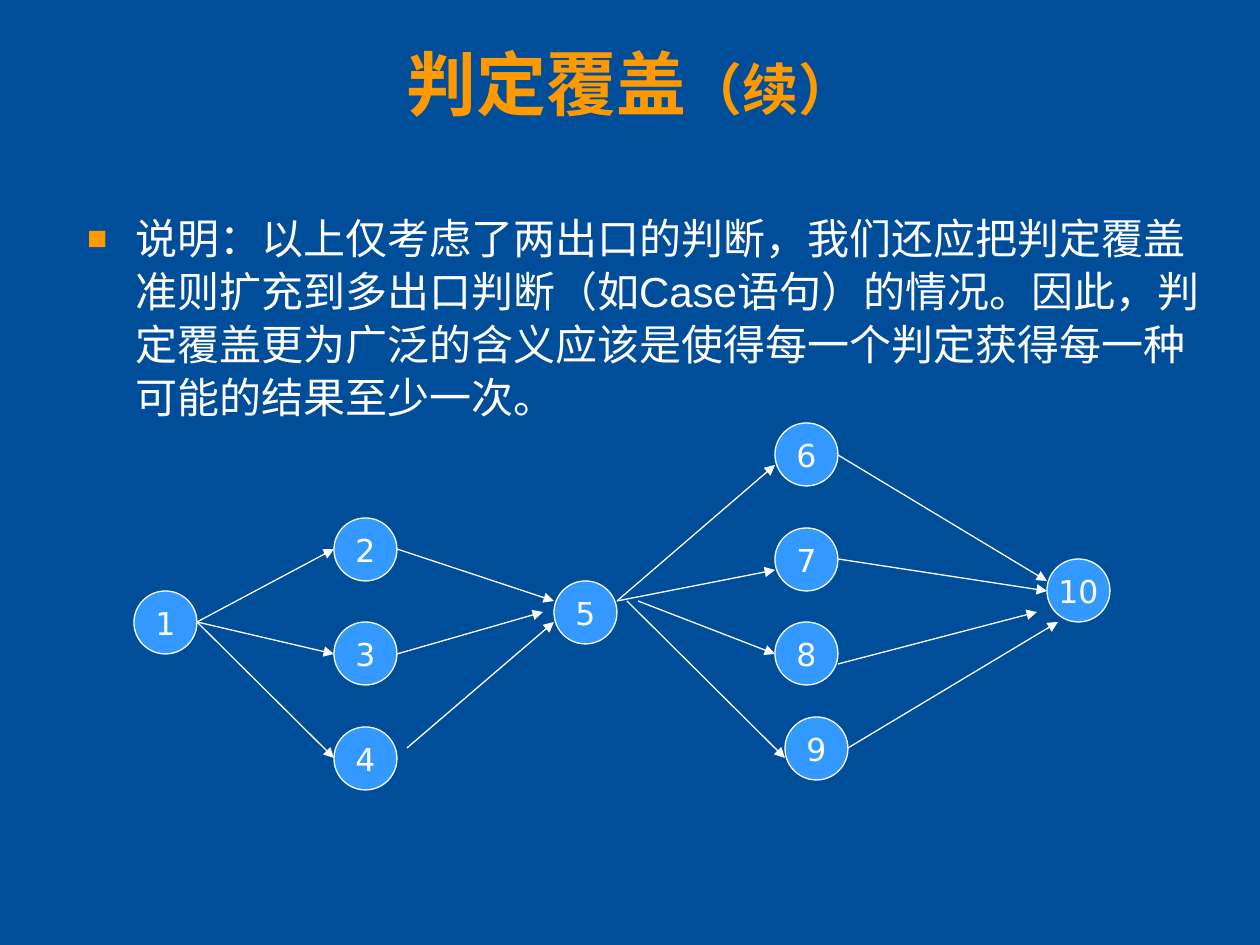
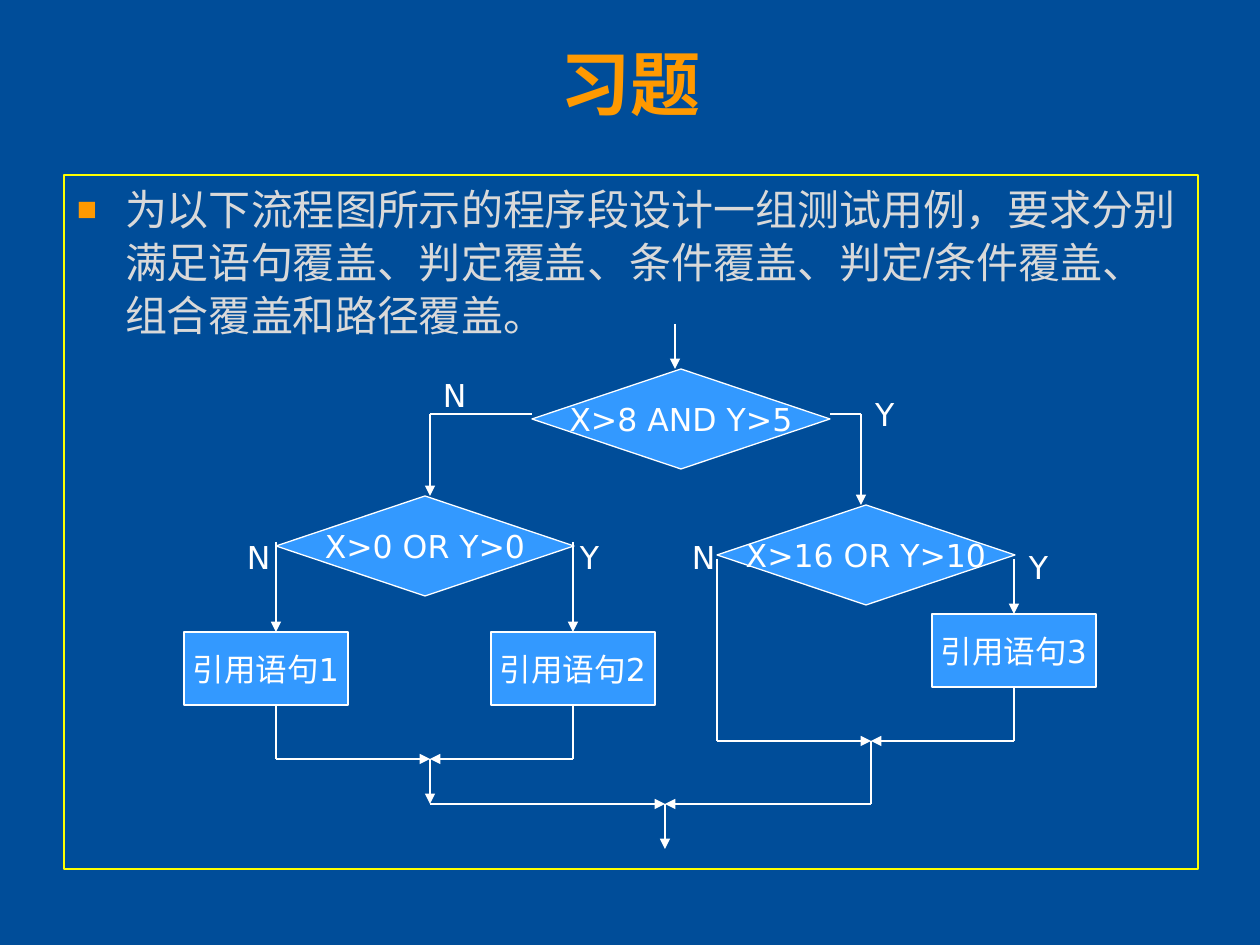
from dataclasses import dataclass, field
from itertools import pairwise

from lxml.etree import SubElement
from pptx import Presentation
from pptx.dml.color import RGBColor
from pptx.enum.shapes import MSO_CONNECTOR as Connector, MSO_SHAPE as Preset
from pptx.enum.text import MSO_ANCHOR as Anchor, MSO_AUTO_SIZE as AutoSize, PP_ALIGN as Align
from pptx.oxml.ns import qn
from pptx.util import Pt

SCALE = 914400 / 126


@dataclass(frozen=True)
class Theme:
    """Colours, fonts and type sizes shared by the slides."""
    background: RGBColor = RGBColor(0x00, 0x4D, 0x99)
    accent: RGBColor = RGBColor(0xFF, 0x99, 0x00)
    node: RGBColor = RGBColor(0x33, 0x99, 0xFF)
    white: RGBColor = RGBColor(0xFF, 0xFF, 0xFF)
    muted: RGBColor = RGBColor(0xD9, 0xD9, 0xD9)
    frame: RGBColor = RGBColor(0xFF, 0xFF, 0x00)
    text_font: str = "Arial"
    diagram_font: str = "DejaVu Sans"
    title_size: int = 40
    suffix_size: int = 32
    body_size: int = 24
    diagram_size: int = 18
    line_width: float = 0.75


THEME = Theme()


def px(length):
    """Turn px into EMU."""
    return round(length * SCALE)


def place(shape, left, top, width, height):
    """Move and size a shape."""
    shape.left, shape.top = px(left), px(top)
    shape.width, shape.height = px(width), px(height)


def set_insets(frame, horizontal, vertical):
    """Set the four insets of a text frame."""
    frame.margin_left = frame.margin_right = px(horizontal)
    frame.margin_top = frame.margin_bottom = px(vertical)


def add_run(paragraph, text, size, color, font_name, bold=False):
    """Add one formatted run."""
    run = paragraph.add_run()
    run.text = text
    run.font.size, run.font.name, run.font.bold = Pt(size), font_name, bold
    run.font.color.rgb = color


def set_outline(line, color):
    """Give a line its colour and the shared width."""
    line.color.rgb = color
    line.width = Pt(THEME.line_width)


def fill_title(slide, *runs):
    """Place the title and add its (text, size) runs."""
    title = slide.shapes.title
    place(title, 32, 42, 1197, 94)
    frame = title.text_frame
    frame.auto_size, frame.vertical_anchor = AutoSize.NONE, Anchor.MIDDLE
    set_insets(frame, 5, 6)
    paragraph = frame.paragraphs[0]
    paragraph.alignment, paragraph.line_spacing = Align.CENTER, 0.85
    paragraph.space_before = Pt(0)
    for text, size in runs:
        add_run(paragraph, text, size, THEME.accent, THEME.text_font, bold=True)


def fill_body(slide, box, text, color):
    """Place the body and add its one bulleted paragraph."""
    body = slide.placeholders[1]
    place(body, *box)
    frame = body.text_frame
    frame.auto_size, frame.vertical_anchor = AutoSize.NONE, Anchor.TOP
    set_insets(frame, 13, 6)
    paragraph = frame.paragraphs[0]
    paragraph.line_spacing, paragraph.space_before = 1.05, Pt(0)
    properties = paragraph._p.get_or_add_pPr()
    properties.set("marL", str(px(48)))
    properties.set("indent", str(px(-48)))
    bullet_color = SubElement(properties, qn("a:buClr"))
    SubElement(bullet_color, qn("a:srgbClr"), val=str(THEME.accent))
    SubElement(properties, qn("a:buSzPct"), val="80000")
    SubElement(properties, qn("a:buFont"), typeface=THEME.text_font)
    SubElement(properties, qn("a:buChar"), char="■")
    add_run(paragraph, text, THEME.body_size, color, THEME.text_font)
    return body


@dataclass
class Diagram:
    """A drawing whose parts are placed relative to its corner."""
    slide: object
    left: int
    top: int
    joints: dict = field(default_factory=dict)

    def add_text(self, shape, text, alignment):
        """Add the diagram's unwrapped text to a shape."""
        frame = shape.text_frame
        frame.word_wrap = False
        set_insets(frame, 13, 6)
        paragraph = frame.paragraphs[0]
        paragraph.alignment = alignment
        add_run(paragraph, text, THEME.diagram_size, THEME.white, THEME.diagram_font)

    def add_node(self, preset, text, x, y, width, height):
        """Draw a filled node with centred text."""
        shape = self.slide.shapes.add_shape(preset, 0, 0, 0, 0)
        place(shape, self.left + x, self.top + y, width, height)
        shape.shadow.inherit = False
        shape.fill.solid()
        shape.fill.fore_color.rgb = THEME.node
        set_outline(shape.line, THEME.white)
        shape.text_frame.vertical_anchor = Anchor.MIDDLE
        self.add_text(shape, text, Align.CENTER)
        if preset == Preset.RECTANGLE:
            self.joints[x + width // 2, y] = shape, 0
            self.joints[x + width // 2, y + height] = shape, 2

    def add_label(self, text, x, y):
        """Place a branch label."""
        box = self.slide.shapes.add_textbox(0, 0, 0, 0)
        place(box, self.left + x, self.top + y, 49 if text == "N" else 43, 50)
        self.add_text(box, text, Align.LEFT)

    def add_line(self, start, end, arrow=True):
        """Draw a line, joined to a rectangle where it meets one."""
        ends = [px(offset + value) for point in (start, end)
                for offset, value in zip((self.left, self.top), point)]
        connector = self.slide.shapes.add_connector(Connector.STRAIGHT, *ends)
        set_outline(connector.line, THEME.white)
        properties = connector._element.spPr
        if arrow:
            SubElement(properties.find(qn("a:ln")), qn("a:tailEnd"), type="triangle")
        SubElement(properties, qn("a:effectLst"))
        if start in self.joints:
            connector.begin_connect(*self.joints[start])
        if end in self.joints:
            connector.end_connect(*self.joints[end])

    def add_route(self, *points):
        """Draw a bent path with an arrowhead on its last part."""
        for start, end in pairwise(points):
            self.add_line(start, end, arrow=end == points[-1])


def draw_case_graph(slide, left, top):
    """Draw the graph of numbered nodes with several exits."""
    graph = Diagram(slide, left, top)
    nodes = [(0, 168), (200, 95), (200, 199), (200, 304), (420, 158),
             (641, 0), (641, 105), (641, 199), (651, 294), (913, 136)]
    for number, (x, y) in enumerate(nodes, 1):
        graph.add_node(Preset.OVAL, str(number), x, y, 63, 63)
    edges = [
        ((63, 199), (200, 126)), ((63, 199), (200, 231)), ((63, 199), (200, 335)),
        ((263, 126), (420, 178)), ((263, 231), (409, 189)), ((273, 325), (420, 199)),
        ((483, 178), (641, 42)), ((483, 178), (641, 147)),
        ((504, 178), (641, 231)), ((493, 178), (651, 335)),
        ((704, 32), (913, 158)), ((704, 136), (913, 168)),
        ((704, 241), (903, 189)), ((714, 325), (924, 199)),
    ]
    for start, end in edges:
        graph.add_line(start, end)


def draw_flowchart(slide, left, top):
    """Draw the flowchart with three decisions and three statements."""
    chart = Diagram(slide, left, top)
    decisions = [("X>8 AND Y>5", 348, 45), ("X>0 OR Y>0", 92, 172),
                 ("X>16 OR Y>10", 533, 181)]
    for text, x, y in decisions:
        chart.add_node(Preset.FLOWCHART_DECISION, text, x, y, 298, 100)
    statements = [(0, 308), (307, 308), (748, 290)]
    for number, (x, y) in enumerate(statements, 1):
        chart.add_node(Preset.RECTANGLE, f"引用语句{number}", x, y, 164, 73)
    labels = [("N", 246, 46), ("Y", 678, 65), ("N", 50, 208),
              ("Y", 383, 208), ("N", 495, 208), ("Y", 832, 218)]
    for text, x, y in labels:
        chart.add_label(text, x, y)
    left_merge, right_merge, final_merge = (246, 435), (687, 417), (481, 480)
    routes = [
        [(491, 0), (491, 45)],
        [(348, 90), (246, 90), (246, 172)],
        [(646, 90), (677, 90), (677, 181)],
        [(92, 218), (92, 308)],
        [(389, 218), (389, 308)],
        [(830, 235), (830, 290)],
        [(92, 381), (92, 435), left_merge],
        [(389, 381), (389, 435), left_merge],
        [(533, 235), (533, 417), right_merge],
        [(830, 363), (830, 417), right_merge],
        [left_merge, (246, 480)],
        [(246, 480), final_merge],
        [right_merge, (687, 480), final_merge],
        [final_merge, (481, 525)],
    ]
    for route in routes:
        chart.add_route(*route)


def build_coverage_slide(slide):
    """Build the slide on decisions with several exits."""
    fill_title(slide, ("判定覆盖", THEME.title_size), ("（续）", THEME.suffix_size))
    fill_body(slide, (74, 204, 1152, 645),
              "说明：以上仅考虑了两出口的判断，我们还应把判定覆盖准则扩充到多出口判断"
              "（如Case语句）的情况。因此，判定覆盖更为广泛的含义应该是使得每一个判定"
              "获得每一种可能的结果至少一次。", THEME.white)
    draw_case_graph(slide, 134, 423)


def build_exercise_slide(slide):
    """Build the framed exercise slide."""
    fill_title(slide, ("习题", THEME.title_size))
    body = fill_body(slide, (64, 175, 1134, 694),
                     "为以下流程图所示的程序段设计一组测试用例，要求分别满足语句覆盖、"
                     "判定覆盖、条件覆盖、判定/条件覆盖、组合覆盖和路径覆盖。", THEME.muted)
    set_outline(body.line, THEME.frame)
    draw_flowchart(slide, 184, 324)


def main():
    """Build and save the presentation."""
    presentation = Presentation()
    presentation.slide_width, presentation.slide_height = px(1260), px(945)
    background = presentation.slide_master.background.fill
    background.solid()
    background.fore_color.rgb = THEME.background
    for build in (build_coverage_slide, build_exercise_slide):
        build(presentation.slides.add_slide(presentation.slide_layouts[1]))
    presentation.save("out.pptx")


if __name__ == "__main__":
    main()
